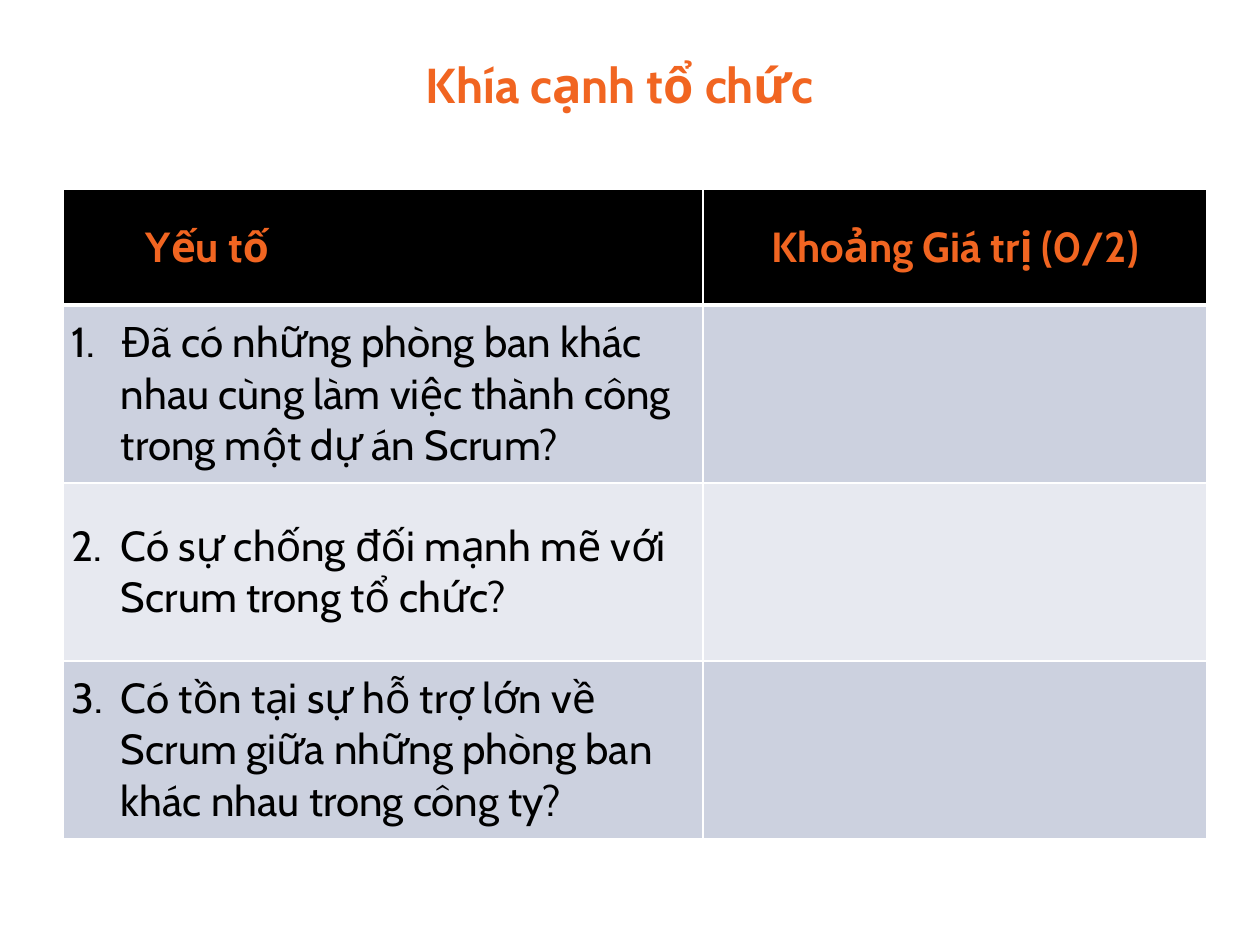
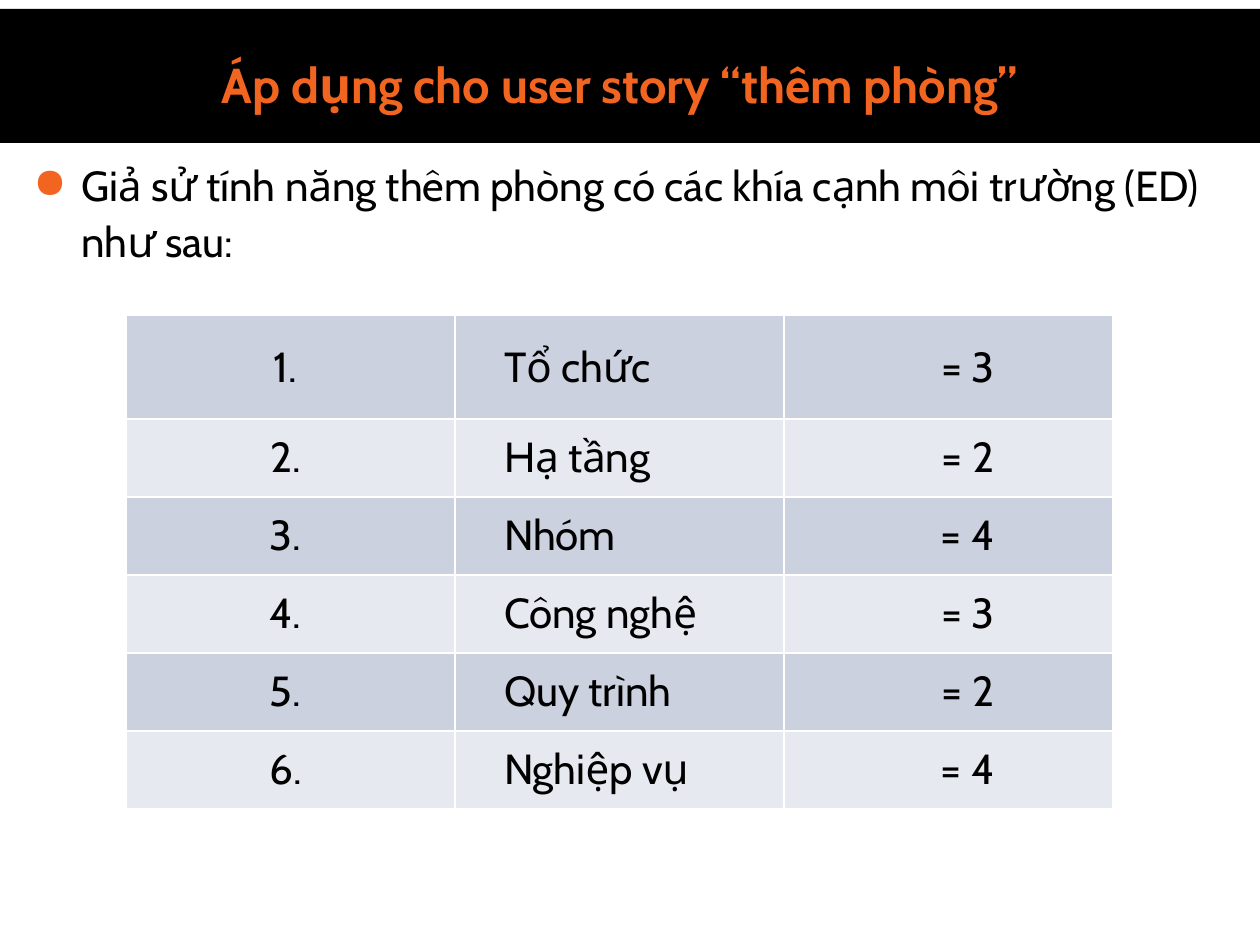
from lxml.etree import SubElement
from pptx import Presentation
from pptx.dml.color import RGBColor
from pptx.enum.shapes import MSO_SHAPE
from pptx.enum.text import MSO_ANCHOR, PP_ALIGN
from pptx.oxml.ns import qn
from pptx.util import Emu, Pt

PX_PER_INCH = 126
FONT = "Cabin"
COLORS = {
    "accent": "F16521",
    "ink": "000000",
    "border": "FFFFFF",
    "odd": "CCD1DF",
    "even": "E7E9F0",
}

SPACED = {"line_spacing": 1.1, "space_before": Pt(6)}
CENTERED = {"alignment": PP_ALIGN.CENTER}
TITLE = {
    "font": {"size": Pt(28), "bold": True},
    "color": "accent",
    "format": SPACED | CENTERED,
}
BODY = {"font": {"size": Pt(24), "bold": False}, "color": "ink"}
HEADING = {"font": {"size": Pt(24), "bold": True}, "color": "accent"}
HEADER_MARGINS = (9, 9, 9, 9)
VALUE_MARGINS = (0, 0, 10, 0)


def px(length):
    return Emu(round(length * 914400 / PX_PER_INCH))


def rgb(name):
    return RGBColor.from_string(COLORS[name])


def apply(target, values):
    for name, value in values.items():
        setattr(target, name, value)


def add_color(parent, name):
    SubElement(parent, qn("a:srgbClr"), val=COLORS[name])


class SlideBuilder:
    def __init__(self, deck):
        self.deck = deck
        self.page = None

    def new_page(self):
        self.page = self.deck.slides.add_slide(self.deck.slide_layouts[6])

    def band(self, left, top, width, height):
        band = self.page.shapes.add_shape(
            MSO_SHAPE.RECTANGLE, px(left), px(top), px(width), px(height))
        band.shadow.inherit = False
        band.fill.solid()
        band.fill.fore_color.rgb = rgb("ink")
        band.line.fill.background()

    def text(self, left, top, width, height, paragraphs):
        box = self.page.shapes.add_textbox(px(left), px(top), px(width), px(height))
        frame = box.text_frame
        frame.word_wrap = True
        for index, (words, style) in enumerate(paragraphs):
            para = frame.add_paragraph() if index else frame.paragraphs[0]
            self.fill_paragraph(para, words, style)

    def fill_paragraph(self, para, words, style):
        """Set text and style; indent is (left, first line) in px, bullet a sign or a number."""
        apply(para, style.get("format", {}))
        properties = para._p.get_or_add_pPr()
        left, first = style.get("indent", (0, 0))
        properties.set("marL", str(px(left)))
        properties.set("indent", str(px(first)))
        bullet = style.get("bullet")
        if isinstance(bullet, int):
            SubElement(properties, qn("a:buAutoNum"),
                       type="arabicPeriod", startAt=str(bullet))
        elif bullet:
            add_color(SubElement(properties, qn("a:buClr")), "accent")
            SubElement(properties, qn("a:buChar"), char=bullet)
        span = para.add_run()
        span.text = words
        apply(span.font, {"name": FONT} | style["font"])
        span.font.color.rgb = rgb(style["color"])

    def table(self, left, top, widths, heights, rows, margins, has_header=False):
        """Each row lists (words, style) pairs, or None for an empty cell."""
        table = self.page.shapes.add_table(
            len(heights), len(widths), px(left), px(top),
            px(sum(widths)), px(sum(heights))).table
        apply(table, {"first_row": False, "horz_banding": False})
        for column, width in zip(table.columns, widths):
            column.width = px(width)
        for index, (row, height, contents) in enumerate(zip(table.rows, heights, rows)):
            row.height = px(height)
            is_header = has_header and index == 0
            fill = "ink" if is_header else ("odd" if (index - has_header) % 2 == 0 else "even")
            borders = {"L": 1, "R": 1,
                       "T": 3 if has_header and index == 1 else 1,
                       "B": 3 if is_header else 1}
            for cell, content in zip(row.cells, contents):
                self.format_cell(cell, fill, borders, margins)
                if content:
                    self.fill_paragraph(cell.text_frame.paragraphs[0], *content)

    def format_cell(self, cell, fill, borders, margins):
        sides = ("margin_left", "margin_top", "margin_right", "margin_bottom")
        apply(cell, dict(zip(sides, map(px, margins))))
        cell.vertical_anchor = MSO_ANCHOR.MIDDLE
        for side, width in borders.items():
            line = SubElement(cell._tc.get_or_add_tcPr(), qn(f"a:ln{side}"),
                              w=str(Pt(width)))
            add_color(SubElement(line, qn("a:solidFill")), "border")
        cell.fill.solid()
        cell.fill.fore_color.rgb = rgb(fill)


def organization_page(builder):
    questions = (
        "Đã có những phòng ban khác nhau cùng làm việc thành công trong một dự án Scrum?",
        "Có sự chống đối mạnh mẽ với Scrum trong tổ chức?",
        "Có tồn tại sự hỗ trợ lớn về Scrum giữa những phòng ban khác nhau trong công ty?",
    )
    header = [("Yếu tố", HEADING | {"indent": (74, 0)}),
              ("Khoảng Giá trị (0/2)", HEADING | {"format": CENTERED})]
    rows = [header] + [
        [(question, BODY | {"indent": (49, -49), "bullet": number}), None]
        for number, question in enumerate(questions, 1)]
    builder.new_page()
    builder.text(21, 42, 1197, 95, [("Khía cạnh tổ chức", TITLE)])
    builder.table(63, 189, [640, 504], [116] + [178] * 3, rows, HEADER_MARGINS,
                  has_header=True)


def user_story_page(builder):
    dimensions = {"Tổ chức": 3, "Hạ tầng": 2, "Nhóm": 4,
                  "Công nghệ": 3, "Quy trình": 2, "Nghiệp vụ": 4}
    centered = BODY | {"format": CENTERED}
    indent = {"indent": (49, 0)}
    rows = [[(f"{number}.", centered), (name, BODY | indent),
             (f"= {value}", centered | indent)]
            for number, (name, value) in enumerate(dimensions.items(), 1)]
    intro = BODY | {"format": SPACED | {"space_before": Pt(24)},
                    "indent": (48, -48), "bullet": "●"}
    builder.new_page()
    builder.band(0, 9, 1260, 134)
    builder.text(21, 42, 1197, 861, [
        ("Áp dụng cho user story “thêm phòng”", TITLE),
        ("Giả sử tính năng thêm phòng có các khía cạnh môi trường (ED) như sau:", intro),
    ])
    builder.table(126, 315, [329] * 3, [104] + [78] * 5, rows, VALUE_MARGINS)


def main():
    deck = Presentation()
    apply(deck, {"slide_width": px(1260), "slide_height": px(945)})
    builder = SlideBuilder(deck)
    organization_page(builder)
    user_story_page(builder)
    deck.save("out.pptx")


if __name__ == "__main__":
    main()
